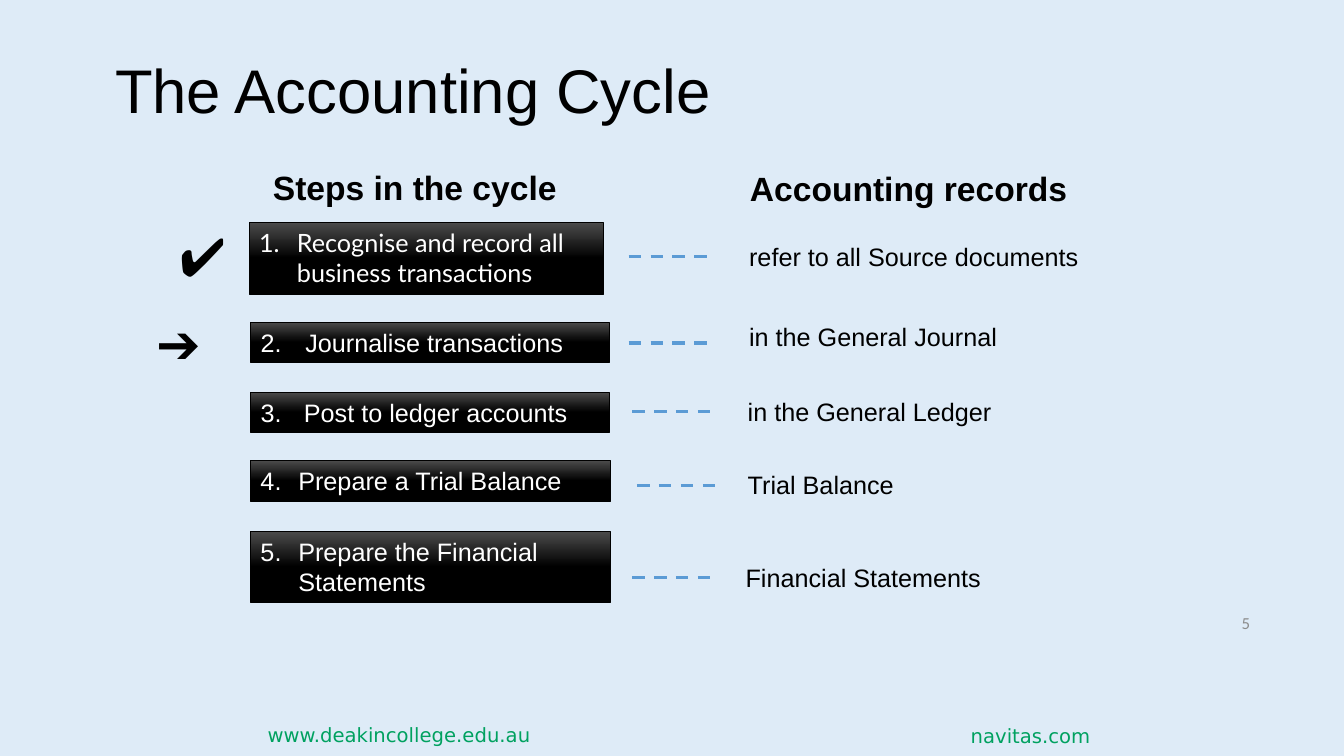
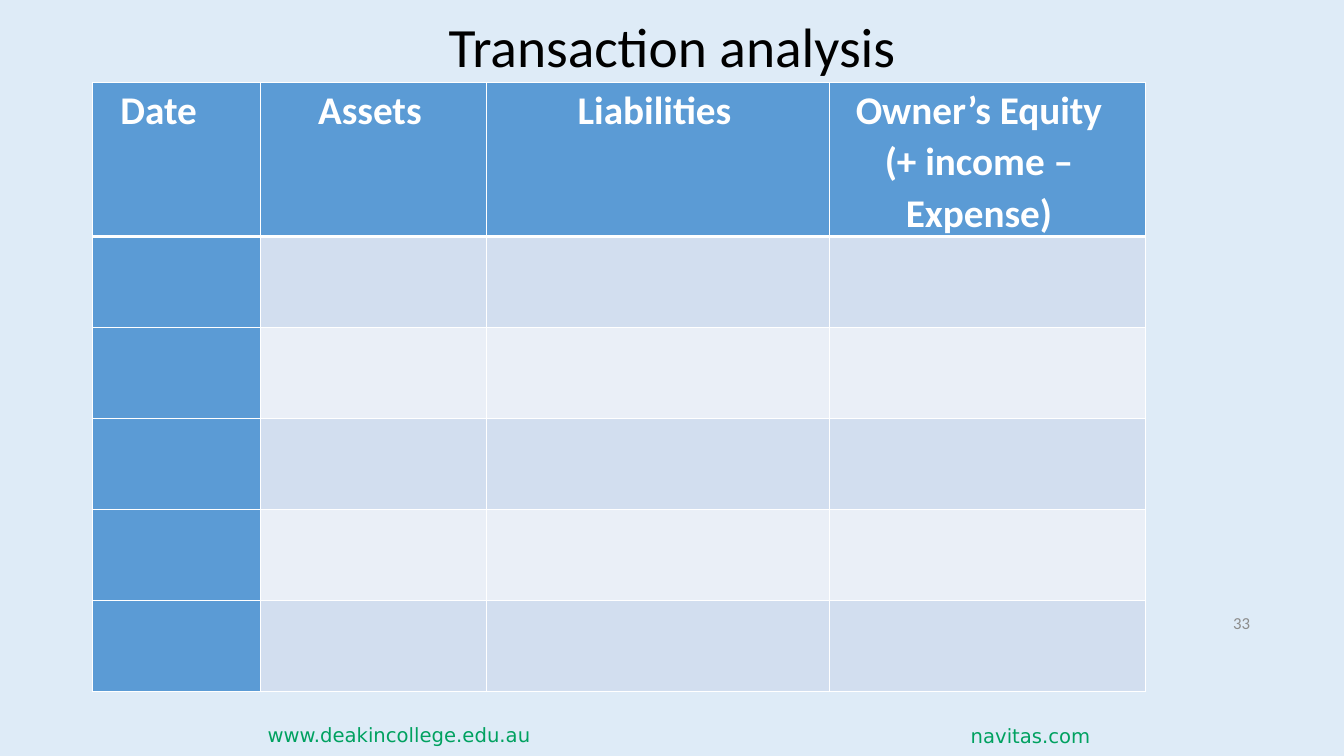
from copy import deepcopy
from dataclasses import dataclass

from pptx import Presentation
from pptx.dml.color import RGBColor
from pptx.enum.dml import MSO_LINE_DASH_STYLE as DASH
from pptx.enum.shapes import MSO_CONNECTOR as CONNECTOR, MSO_SHAPE as SHAPE
from pptx.enum.text import MSO_ANCHOR as ANCHOR, MSO_AUTO_SIZE as AUTO, PP_ALIGN as ALIGN
from pptx.oxml.ns import qn
from pptx.oxml.xmlchemy import OxmlElement
from pptx.util import Pt


@dataclass(frozen=True)
class Theme:
    background: str = "DEEBF7"
    ink: str = "000000"
    white: str = "FFFFFF"
    link: str = "00A160"
    grey: str = "8C8C8C"
    accent: str = "5B9BD5"
    sheen: str = "4B4B4B"
    bands: tuple = ("D2DEEF", "EAEFF7")
    sans: str = "Arial"
    body: str = "Calibri"
    first_step: str = "Lato"
    footer: str = "DejaVu Sans"
    title_size: float = 44
    table_title_size: float = 39.6
    mark_size: float = 38
    cell_size: float = 28
    heading_size: float = 24
    text_size: float = 18
    footer_size: float = 14
    number_size: float = 12


T = Theme()

# step text, font, number font, hanging indent, box
STEPS = [
    ("Recognise and record all business transactions", T.first_step, T.first_step, 27,
     (178, 159, 253, 51)),
    ("Journalise transactions", T.sans, T.sans, 32, (179, 230, 256, 29)),
    ("Post to ledger accounts", T.sans, T.body, 31, (179, 280, 256, 29)),
    ("Prepare a Trial Balance", T.sans, T.sans, 27, (179, 329, 257, 29)),
    ("Prepare the Financial Statements", T.sans, T.sans, 27, (179, 379.5, 257, 51)),
]
# record text, left, top, dash left, dash height on the slide
RECORDS = [
    ("refer to all Source documents", 528, 169, 449, 183.5),
    ("in the General Journal", 528, 226, 449, 245),
    ("in the General Ledger", 527, 279.5, 451.5, 294),
    ("Trial Balance", 527, 332, 455, 346.5),
    ("Financial Statements", 525.5, 398, 451.5, 412.5),
]
DASH_LENGTH = 61

# header text, column width, alignment, left margin, first-line indent
COLUMNS = [
    ("Date", 120, ALIGN.LEFT, 8, 7),
    ("Assets", 161.5, ALIGN.CENTER, 8, -1),
    ("Liabilities", 245, ALIGN.CENTER, 8, -1),
    ("Owner’s Equity (+ income – Expense)", 225.5, ALIGN.CENTER, 0, -1),
]
EMPTY_ROWS = 5
HEADER_HEIGHT, ROW_HEIGHT = 110, 65


def rgb(color):
    return RGBColor.from_string(color)


def points(values):
    return [Pt(v) for v in values]


def add_run(p, text, font, size, color, bold=False):
    r = p.add_run()
    r.text = text
    r.font.name = font
    r.font.size = Pt(size)
    r.font.bold = bold
    r.font.color.rgb = rgb(color)


def indent(p, left, first, right=0):
    pPr = p._p.get_or_add_pPr()
    for name, value in (("marL", left), ("marR", right), ("indent", first)):
        pPr.set(name, str(Pt(value)))


def number(p, start, font):
    pPr = p._p.get_or_add_pPr()
    face = OxmlElement("a:buFont")
    face.set("typeface", font)
    auto = OxmlElement("a:buAutoNum")
    auto.set("type", "arabicPeriod")
    auto.set("startAt", str(start))
    pPr.append(face)
    pPr.append(auto)


def add_text(slide, box, text, font=T.sans, size=T.text_size, color=T.ink,
             bold=False, align=ALIGN.LEFT, anchor=ANCHOR.TOP):
    tf = slide.shapes.add_textbox(*points(box)).text_frame
    tf.word_wrap = True
    tf.vertical_anchor = anchor
    p = tf.paragraphs[0]
    p.alignment = align
    add_run(p, text, font, size, color, bold)


def set_title(slide, box, text, font, size, align):
    title = slide.shapes.title
    title.left, title.top, title.width, title.height = points(box)
    tf = title.text_frame
    tf.auto_size = AUTO.NONE
    tf.vertical_anchor = ANCHOR.MIDDLE
    p = tf.paragraphs[0]
    p.alignment = align
    p.line_spacing = 0.9
    add_run(p, text, font, size, T.ink)


def fill_with_sheen(s):
    """Fade from grey at the top edge to black at mid-height."""
    s.fill.gradient()
    s.fill.gradient_angle = 270
    for stop, color, position in zip(s.fill.gradient_stops, (T.sheen, T.ink), (0, 0.5)):
        stop.color.rgb = rgb(color)
        stop.position = position
    stops = s._element.spPr.find(qn("a:gradFill")).find(qn("a:gsLst"))
    last = deepcopy(stops[-1])
    last.set("pos", "100000")
    stops.append(last)


def add_step(slide, start, text, font, number_font, hanging, box):
    s = slide.shapes.add_shape(SHAPE.RECTANGLE, *points(box))
    s.shadow.inherit = False
    fill_with_sheen(s)
    s.line.color.rgb = rgb(T.ink)
    s.line.width = Pt(0.5)
    tf = s.text_frame
    tf.word_wrap = True
    tf.vertical_anchor = ANCHOR.TOP
    p = tf.paragraphs[0]
    p.alignment = ALIGN.LEFT
    indent(p, hanging, -hanging)
    number(p, start, number_font)
    add_run(p, text, font, T.text_size, T.white)


def add_dash(slide, left, y):
    line = slide.shapes.add_connector(
        CONNECTOR.STRAIGHT, *points((left, y, left + DASH_LENGTH, y)))
    line.line.color.rgb = rgb(T.accent)
    line.line.width = Pt(2.25)
    line.line.dash_style = DASH.DASH
    line._element.spPr.append(OxmlElement("a:effectLst"))


def set_borders(cell, top, bottom):
    tcPr = cell._tc.get_or_add_tcPr()
    sides = (("a:lnL", 1), ("a:lnR", 1), ("a:lnT", top), ("a:lnB", bottom))
    for i, (tag, width) in enumerate(sides):
        ln = OxmlElement(tag)
        ln.set("w", str(Pt(width)))
        fill = OxmlElement("a:solidFill")
        color = OxmlElement("a:srgbClr")
        color.set("val", T.white)
        fill.append(color)
        ln.append(fill)
        tcPr.insert(i, ln)


def cell_color(row, col):
    return T.accent if row == 0 or col == 0 else T.bands[(row - 1) % 2]


def add_header(cell, text, align, left, first):
    cell.margin_left, cell.margin_top, cell.margin_right, cell.margin_bottom = points((5, 1, 6, 0))
    p = cell.text_frame.paragraphs[0]
    p.alignment = align
    p.line_spacing = 1.07
    indent(p, left, first, 11)
    add_run(p, text, T.body, T.cell_size, T.white, bold=True)


def add_analysis_table(slide, left, top):
    width = sum(column[1] for column in COLUMNS)
    height = HEADER_HEIGHT + EMPTY_ROWS * ROW_HEIGHT
    table = slide.shapes.add_table(
        EMPTY_ROWS + 1, len(COLUMNS), *points((left, top, width, height))).table
    for r, row in enumerate(table.rows):
        row.height = Pt(ROW_HEIGHT if r else HEADER_HEIGHT)
        for c, cell in enumerate(row.cells):
            cell.fill.solid()
            cell.fill.fore_color.rgb = rgb(cell_color(r, c))
            set_borders(cell, top=3 if r == 1 else 1, bottom=3 if r == 0 else 1)
    for c, (text, column_width, *layout) in enumerate(COLUMNS):
        table.columns[c].width = Pt(column_width)
        add_header(table.cell(0, c), text, *layout)


def add_slide(prs, page):
    """Add a title-only slide with the shared footers and its page number."""
    slide = prs.slides.add_slide(prs.slide_layouts[5])
    footer = dict(font=T.footer, size=T.footer_size, color=T.link)
    add_text(slide, (184, 512.5, 217, 24.5), "www.deakincollege.edu.au", **footer)
    add_text(slide, (660, 513.5, 126, 24.5), "navitas.com", align=ALIGN.RIGHT, **footer)
    add_text(slide, (684, 430.5, 216, 29), page, T.body, T.number_size, T.grey,
             align=ALIGN.RIGHT, anchor=ANCHOR.MIDDLE)
    return slide


def build_cycle(prs):
    slide = add_slide(prs, "5")
    set_title(slide, (75, 21.5, 773, 90), "The Accounting Cycle",
              T.sans, T.title_size, ALIGN.LEFT)
    for text, box in (("Steps in the cycle", (173.5, 116, 245.5, 36)),
                      ("Accounting records", (525.5, 116.5, 247, 36))):
        add_text(slide, box, text, size=T.heading_size, bold=True, align=ALIGN.CENTER)
    for start, step in enumerate(STEPS, 1):
        add_step(slide, start, *step)
    for text, left, top, dash_left, dash_y in RECORDS:
        add_text(slide, (left, top, 270, 29), text)
        add_dash(slide, dash_left, dash_y)
    for mark, box in (("✔", (121, 156, 40, 53)), ("➔", (105, 218, 55, 53))):
        add_text(slide, box, mark, size=T.mark_size)


def build_analysis(prs):
    slide = add_slide(prs, "33")
    set_title(slide, (66, 12, 828, 47), "Transaction analysis",
              T.body, T.table_title_size, ALIGN.CENTER)
    add_analysis_table(slide, 66, 59)


def main():
    prs = Presentation()
    prs.slide_width, prs.slide_height = points((960, 540))
    fill = prs.slide_master.background.fill
    fill.solid()
    fill.fore_color.rgb = rgb(T.background)
    build_cycle(prs)
    build_analysis(prs)
    prs.save("out.pptx")


if __name__ == "__main__":
    main()
